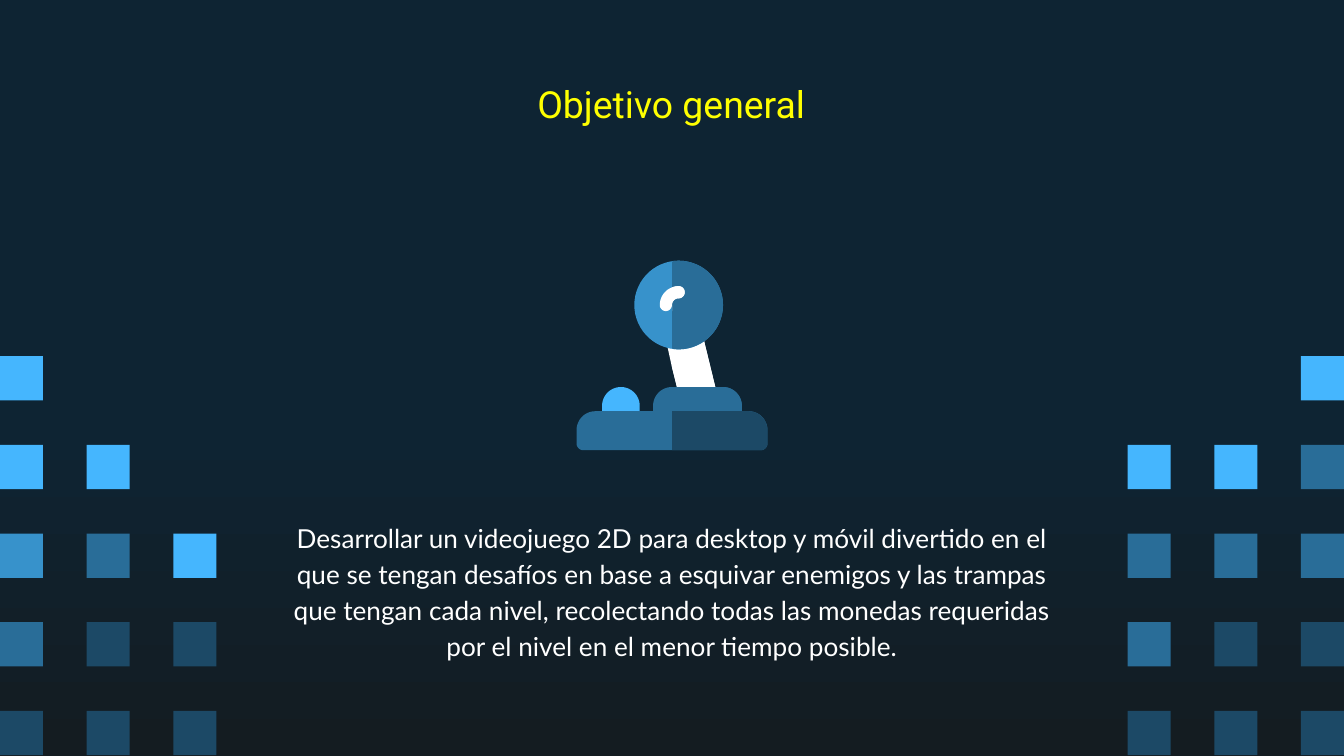
import math

from pptx import Presentation
from pptx.dml.color import RGBColor
from pptx.enum.shapes import MSO_SHAPE
from pptx.enum.text import MSO_ANCHOR, MSO_AUTO_SIZE, PP_ALIGN
from pptx.util import Inches, Pt

RECT = MSO_SHAPE.RECTANGLE
CENTER = PP_ALIGN.CENTER
TOP, MIDDLE = MSO_ANCHOR.TOP, MSO_ANCHOR.MIDDLE
NO_AUTOFIT = MSO_AUTO_SIZE.NONE

SKY, BLUE, STEEL, NAVY = "45B6FE", "3792CB", "296D98", "1C4966"
WHITE, YELLOW = "FFFFFF", "FFFF00"

TITLE = "Objetivo general"
OBJECTIVE = (
    "Desarrollar un videojuego 2D para desktop y móvil divertido en el "
    "que se tengan desafíos en base a esquivar enemigos y las trampas "
    "que tengan cada nivel, recolectando todas las monedas requeridas "
    "por el nivel en el menor tiempo posible."
)

# Pixel colours, row by row from the top
LEFT_PIXELS = [
    (SKY, None, None),
    (SKY, SKY, None),
    (BLUE, STEEL, SKY),
    (STEEL, NAVY, NAVY),
    (NAVY, NAVY, NAVY),
]
RIGHT_PIXELS = [
    (None, None, SKY),
    (SKY, SKY, STEEL),
    (STEEL, STEEL, STEEL),
    (STEEL, NAVY, NAVY),
    (NAVY, NAVY, NAVY),
]


def rgb(color):
    return RGBColor.from_string(color)


def paint(sp, color):
    sp.fill.solid()
    sp.fill.fore_color.rgb = rgb(color)
    sp.line.fill.background()
    sp.shadow.inherit = False


def set_background(slide):
    fill = slide.background.fill
    fill.gradient()
    fill.gradient_angle = 270
    stops = ((0.56, "0E2433"), (1, "141C21"))
    for stop, (position, color) in zip(fill.gradient_stops, stops):
        stop.position = position
        stop.color.rgb = rgb(color)


def add_pixels(slide, left, top, rows):
    for i, row in enumerate(rows):
        for j, color in enumerate(row):
            if color:
                sp = slide.shapes.add_shape(
                    RECT, Inches(left + 0.645 * j), Inches(top + 0.66 * i),
                    Inches(0.32), Inches(0.33))
                paint(sp, color)


def fill_placeholder(sp, box, text, font, size, color, anchor):
    sp.left, sp.top, sp.width, sp.height = map(Inches, box)
    tf = sp.text_frame
    tf.word_wrap = True
    tf.auto_size = NO_AUTOFIT
    tf.vertical_anchor = anchor
    tf.margin_left = tf.margin_right = Inches(0.1)
    tf.margin_top = tf.margin_bottom = Inches(0.1)
    tf.text = text
    p = tf.paragraphs[0]
    p.alignment = CENTER
    p.space_before = Pt(0)
    p.font.name = font
    p.font.size = Pt(size)
    p.font.bold = False
    p.font.color.rgb = rgb(color)
    return tf


def arc(cx, cy, r, start, end):
    """Points along an arc; degrees run clockwise from the right."""
    steps = max(8, abs(end - start) // 6)
    angles = [math.radians(start + (end - start) * k / steps)
              for k in range(steps + 1)]
    return [(cx + r * math.cos(a), cy + r * math.sin(a)) for a in angles]


def block(x, y, w, h):
    """Outline with large top corners and small bottom corners."""
    big, small = 0.14, 0.05
    return (arc(x + big, y + big, big, 180, 270)
            + arc(x + w - big, y + big, big, 270, 360)
            + arc(x + w - small, y + h - small, small, 0, 90)
            + arc(x + small, y + h - small, small, 90, 180))


def add_outline(shapes, left, top, points, color):
    pts = [(Inches(left + x), Inches(top + y)) for x, y in points]
    builder = shapes.build_freeform(*pts[0])
    builder.add_line_segments(pts[1:], close=True)
    paint(builder.convert_to_shape(), color)


def add_joystick(slide, left, top):
    shapes = slide.shapes.add_group_shape().shapes
    middle = 0.71
    cx, cy = 0.76, 0.33
    stick = [(0.89, 0.52), (0.71, 0.56), (0.67, 0.61), (0.71, 0.79),
             (0.76, 0.99), (0.8, 1.03), (0.99, 1.03), (1.04, 0.97),
             (0.94, 0.56)]
    shine = (arc(cx, cy, 0.14, 270, 180)
             + arc(cx - 0.095, cy, 0.045, 180, 0)
             + arc(cx, cy, 0.05, 180, 270)
             + arc(cx, cy - 0.095, 0.045, 90, -90))
    # Outline, full colour, colour of the half right of the middle
    parts = [
        (stick, WHITE, WHITE),
        (arc(cx, cy, 0.33, 0, 360), BLUE, STEEL),
        (block(0.57, 0.94, 0.66, 0.28), STEEL, STEEL),
        (block(0.19, 0.94, 0.28, 0.28), SKY, None),
        (shine, WHITE, WHITE),
        (block(0, 1.12, 1.42, 0.29), STEEL, NAVY),
    ]
    for points, color, right_color in parts:
        add_outline(shapes, left, top, points, color)
        if right_color:
            half = [(max(x, middle), y) for x, y in points]
            add_outline(shapes, left, top, half, right_color)


def main():
    prs = Presentation()
    prs.slide_width = Inches(10)
    prs.slide_height = prs.slide_width * 9 // 16
    slide = prs.slides.add_slide(prs.slide_layouts[0])
    set_background(slide)

    # Pixel staircases in the lower corners
    add_pixels(slide, 0, 2.65, LEFT_PIXELS)
    add_pixels(slide, 8.39, 2.65, RIGHT_PIXELS)

    # Title and objective
    fill_placeholder(slide.shapes.title, (0.78, 0.59, 8.43, 0.36),
                     TITLE, "Roboto", 20, YELLOW, MIDDLE)
    tf = fill_placeholder(slide.placeholders[1], (2.04, 3.52, 5.92, 2.15),
                          OBJECTIVE, "Lato", 14, WHITE, TOP)
    tf.margin_top = Inches(0.33)
    tf.paragraphs[0].line_spacing = 1.15

    add_joystick(slide, 4.29, 1.94)
    prs.save("out.pptx")


if __name__ == "__main__":
    main()
